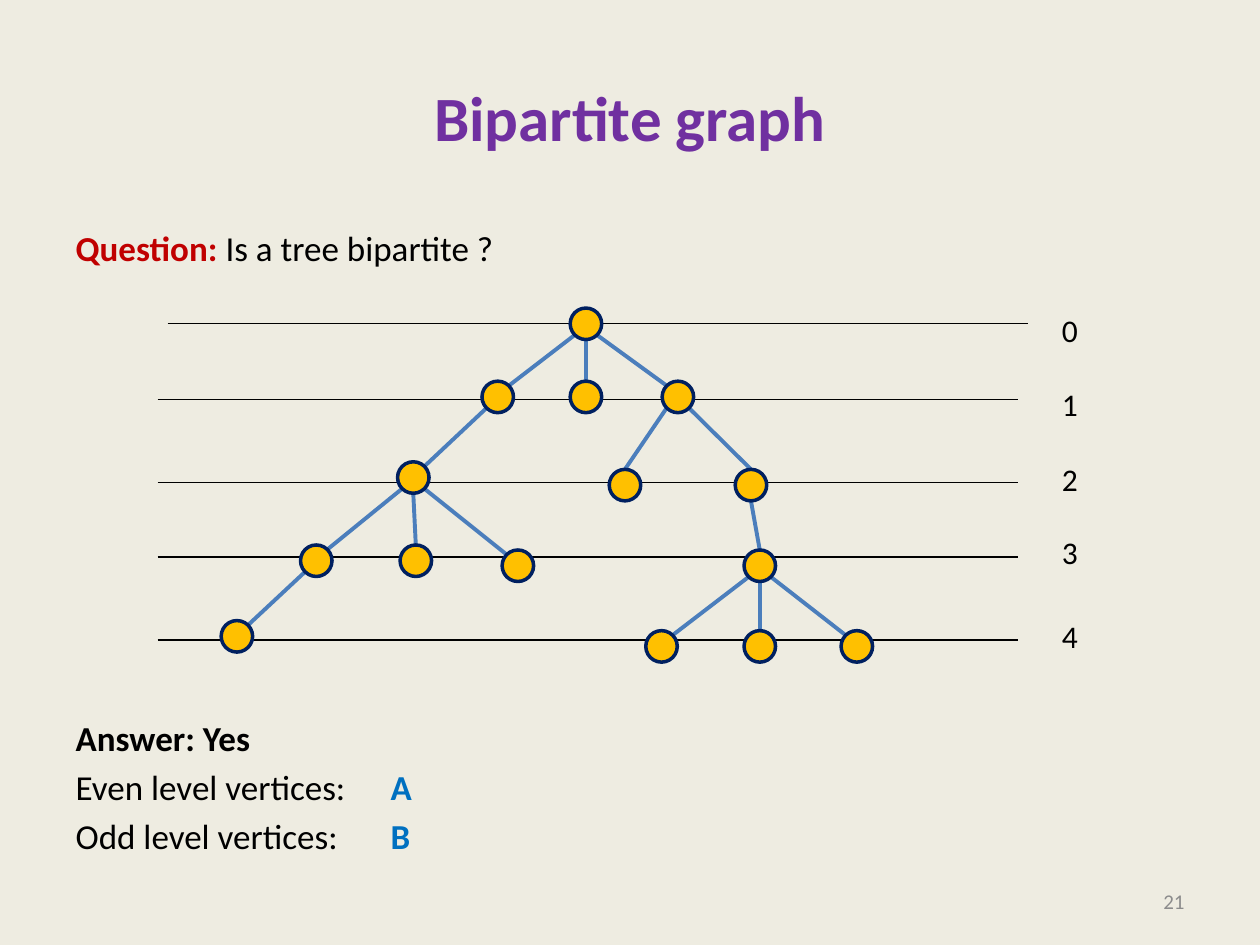
from pptx import Presentation
from pptx.util import Inches, Pt
from pptx.dml.color import RGBColor
from pptx.enum.shapes import MSO_SHAPE as SHAPE, MSO_CONNECTOR as CONN
from pptx.enum.text import PP_ALIGN as ALIGN, MSO_ANCHOR as ANCHOR, MSO_AUTO_SIZE as AUTO
from pptx.oxml.ns import qn
from lxml.etree import SubElement as sub


def paint(item, hue):
    item.rgb = RGBColor.from_string(hue)


def style(run, size, hue="000000", bold=False):
    run.font.name = "Calibri"
    run.font.size = Pt(size)
    run.font.bold = bold
    paint(run.font.color, hue)


deck = Presentation()
deck.slide_width, deck.slide_height = Inches(10), Inches(7.5)
slide = deck.slides.add_slide(deck.slide_layouts[1])
fill = slide.background.fill
fill.solid()
paint(fill.fore_color, "EEECE1")

title, body = slide.placeholders
for box, top, high in [(title, 0.3, 1.25), (body, 1.75, 5.42)]:
    box.left, box.top = Inches(0.5), Inches(top)
    box.width, box.height = Inches(9), Inches(high)
    box.text_frame.auto_size = AUTO.NONE

title.text_frame.text = "Bipartite graph"
title.text_frame.vertical_anchor = ANCHOR.MIDDLE
para = title.text_frame.paragraphs[0]
para.alignment = ALIGN.CENTER
style(para.runs[0], 36, "7030A0", True)

rows = [
    (0, [("Question: ", "C00000", True), ("Is a tree bipartite ?", "000000", False)]),
    (256, [("Answer: Yes", "000000", True)]),
    (4, [("Even level vertices:\t", "000000", False), ("A", "0070C0", True)]),
    (4, [("Odd level vertices:\t", "000000", False), ("B", "0070C0", True)]),
]
frame = body.text_frame
for num, (gap, parts) in enumerate(rows):
    para = frame.add_paragraph() if num else frame.paragraphs[0]
    para.space_before = Pt(gap)
    prop = para._p.get_or_add_pPr()
    prop.set("marL", "0")
    prop.set("indent", "0")
    sub(prop, qn("a:buNone"))
    tabs = sub(prop, qn("a:tabLst"))
    sub(tabs, qn("a:tab"), pos=str(Inches(2.26)), algn="l")
    for text, hue, bold in parts:
        run = para.add_run()
        run.text = text
        style(run, 20, hue, bold)

lines = [(1.33, 2.57), (1.25, 3.17), (1.25, 3.83), (1.25, 4.42), (1.25, 5.08)]
links = [(x, y, x + 6.83, y, "000000", 0.75) for x, y in lines]

rad, diag = 0.125, 0.09
spots = {"top": (0, -rad), "bottom": (0, rad), "nw": (-diag, -diag),
         "ne": (diag, -diag), "sw": (-diag, diag), "se": (diag, diag)}
nodes = {
    "root": (4.65, 2.57),
    "a": (3.95, 3.15), "b": (4.65, 3.15), "c": (5.38, 3.15),
    "d": (3.28, 3.79), "e": (4.96, 3.85), "f": (5.96, 3.85),
    "g": (2.51, 4.45), "h": (3.3, 4.45), "i": (4.11, 4.49), "j": (6.03, 4.49),
    "k": (1.88, 5.05), "l": (5.25, 5.13), "m": (6.03, 5.13), "n": (6.8, 5.13),
}
edges = [
    ("root", "a", "sw", "ne"), ("root", "b", "bottom", "top"), ("root", "c", "se", "nw"),
    ("a", "d", "sw", "ne"), ("c", "e", "sw", "top"), ("c", "f", "se", "top"),
    ("d", "g", "sw", "ne"), ("d", "h", "bottom", "top"), ("d", "i", "se", "nw"),
    ("f", "j", "bottom", "top"), ("g", "k", "sw", "ne"),
    ("j", "l", "sw", "ne"), ("j", "m", "bottom", "top"), ("j", "n", "se", "nw"),
]
for up, down, start, end in edges:
    ends = []
    for node, spot in [(up, start), (down, end)]:
        ends += [at + off for at, off in zip(nodes[node], spots[spot])]
    links.append((*ends, "4B7EBC", 2.25))

for *ends, hue, wide in links:
    link = slide.shapes.add_connector(CONN.STRAIGHT, *map(Inches, ends))
    paint(link.line.color, hue)
    link.line.width = Pt(wide)
    sub(link._element.spPr, qn("a:effectLst"))

for x, y in nodes.values():
    dot = slide.shapes.add_shape(SHAPE.OVAL, Inches(x - rad), Inches(y - rad),
                                 Inches(2 * rad), Inches(2 * rad))
    dot.shadow.inherit = False
    dot.fill.solid()
    paint(dot.fill.fore_color, "FFC000")
    paint(dot.line.color, "002060")
    dot.line.width = Pt(2)

tops = [2.42, 3.01, 3.6, 4.18, 4.85]
notes = [(str(num), 8.33, top, 0.33, 18, "000000", ALIGN.LEFT) for num, top in enumerate(tops)]
notes.append(("21", 7.17, 6.95, 2.33, 12, "8C8C8C", ALIGN.RIGHT))
for text, left, top, wide, size, hue, side in notes:
    box = slide.shapes.add_textbox(Inches(left), Inches(top), Inches(wide), Inches(0.4))
    frame = box.text_frame
    frame.word_wrap = True
    frame.vertical_anchor = ANCHOR.MIDDLE
    frame.text = text
    frame.paragraphs[0].alignment = side
    style(frame.paragraphs[0].runs[0], size, hue)

deck.save("out.pptx")
